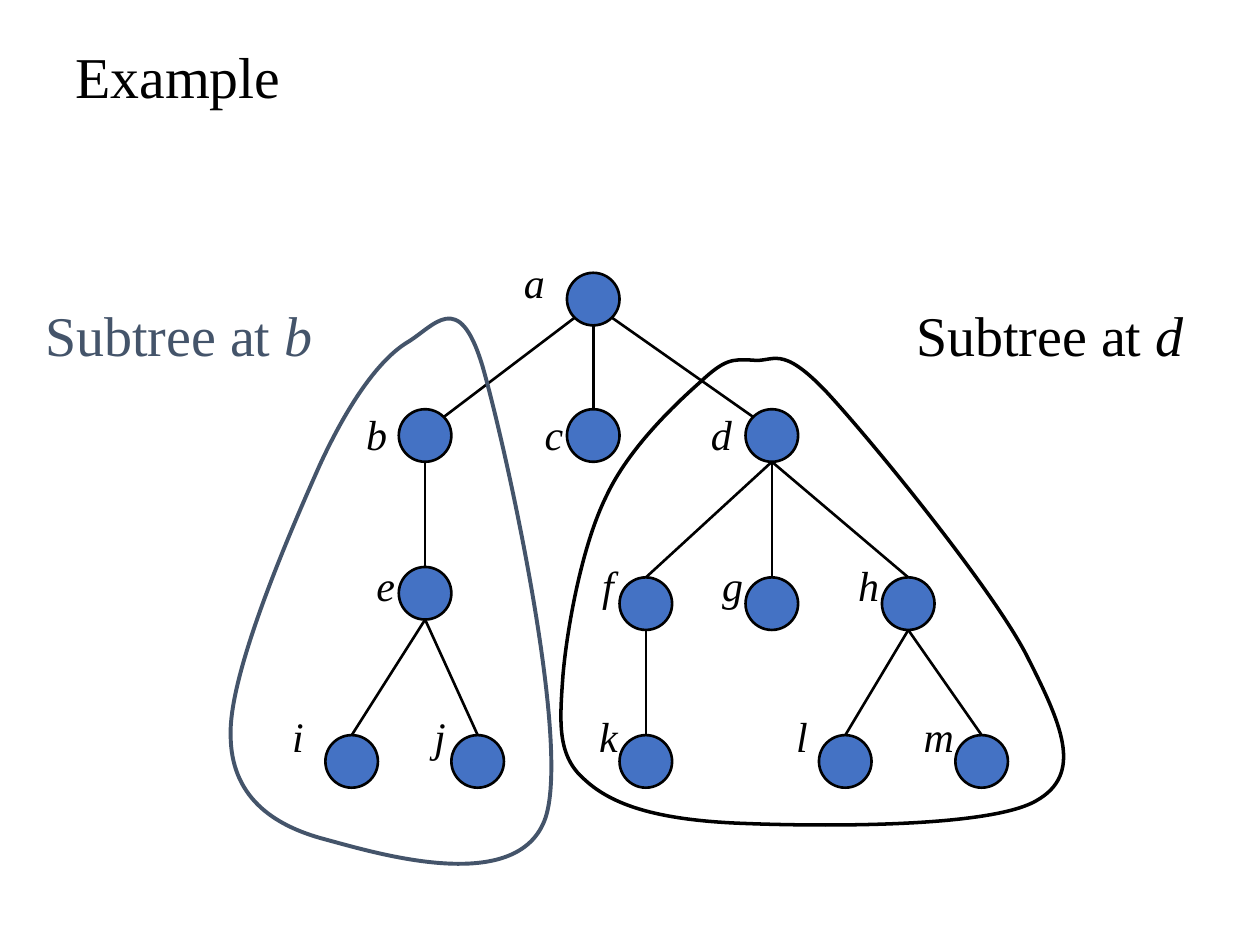
from lxml import etree
from pptx import Presentation
from pptx import util as u
from pptx.dml.color import RGBColor
from pptx.enum import shapes, text
from pptx.oxml import ns

COLORS = {"black": "000000", "node": "4472C4", "slate": "44546A"}
FONT = "Times New Roman"
DIAMETER = 1.06
DIAGONAL = 0.37
LABEL_TOP, LABEL_STEP = 5.18, 3.05

# name: centre x, centre y, label left, level
NODES = {
    "a": (11.96, 6.03, 10.56, 0),
    "b": (8.57, 8.78, 7.38, 1),
    "c": (11.96, 8.78, 10.98, 1),
    "d": (15.56, 8.78, 14.33, 1),
    "e": (8.57, 11.96, 7.59, 2),
    "f": (13.02, 12.17, 12.14, 2),
    "g": (15.56, 12.17, 14.56, 2),
    "h": (18.31, 12.17, 17.3, 2),
    "i": (7.09, 15.35, 5.89, 3),
    "j": (9.63, 15.35, 8.75, 3),
    "k": (13.02, 15.35, 12.08, 3),
    "l": (17.04, 15.35, 16.05, 3),
    "m": (19.79, 15.35, 18.62, 3),
}
CHILDREN = {"a": "bcd", "b": "e", "d": "fgh", "e": "ij", "f": "k", "h": "lm"}

OUTLINE_B = [
    (8.2, 6.91),
    (7.67, 7.24), (7.06, 8.05), (6.45, 9.37),
    (5.87, 10.67), (4.62, 13.54), (4.65, 14.81),
    (4.65, 16.05), (5.49, 16.64), (6.55, 16.92),
    (7.59, 17.2), (10.46, 18.08), (11, 16.48),
    (11.51, 14.91), (10.19, 8.99), (9.73, 7.39),
    (9.25, 5.79), (8.76, 6.58), (8.2, 6.91),
]
OUTLINE_D = [
    (14.12, 7.7),
    (14.61, 7.24), (14.76, 7.24), (15.16, 7.26),
    (15.6, 7.32), (15.72, 6.91), (16.66, 7.9),
    (17.58, 8.89), (19.96, 11.81), (20.68, 13.18),
    (21.39, 14.58), (21.87, 15.6), (20.88, 16.15),
    (19.89, 16.71), (16.26, 16.66), (14.76, 16.59),
    (13.23, 16.51), (12.34, 16.23), (11.79, 15.72),
    (11.23, 15.24), (11.28, 14.58), (11.35, 13.61),
    (11.43, 12.67), (11.73, 11), (12.22, 10.01),
    (12.67, 9.04), (13.61, 8.15), (14.12, 7.7),
]


def rgb(name):
    return RGBColor.from_string(COLORS[name])


def set_line(line, color, width):
    line.color.rgb = rgb(color)
    line.width = u.Pt(width)


def add_text(s, left, top, width, height, runs, size, color="black"):
    sp = s.shapes.add_textbox(u.Cm(left), u.Cm(top), u.Cm(width), u.Cm(height))
    tf = sp.text_frame
    tf.word_wrap = True
    tf.margin_left = tf.margin_right = tf.margin_top = tf.margin_bottom = 0
    p = tf.paragraphs[0]
    for content, italic in runs:
        r = p.add_run()
        r.text = content
        r.font.name = FONT
        r.font.size = u.Pt(size)
        r.font.italic = italic
        r.font.color.rgb = rgb(color)
    return tf


def add_title(s, title):
    tf = add_text(s, 1.52, 0.43, 22.36, 2.34, [(title, False)], 33)
    tf.vertical_anchor = text.MSO_ANCHOR.MIDDLE
    tf.paragraphs[0].line_spacing = 0.9


def add_node(s, name):
    x, y, label_left, level = NODES[name]
    sp = s.shapes.add_shape(
        shapes.MSO_SHAPE.OVAL, u.Cm(x - DIAMETER / 2), u.Cm(y - DIAMETER / 2),
        u.Cm(DIAMETER), u.Cm(DIAMETER))
    sp.shadow.inherit = False
    sp.fill.solid()
    sp.fill.fore_color.rgb = rgb("node")
    set_line(sp.line, "black", 1.5)
    add_text(s, label_left, LABEL_TOP + level * LABEL_STEP, 0.9, 1,
             [(name, True)], 24)


def add_edge(s, parent, child):
    x1, y1 = NODES[parent][:2]
    x2, y2 = NODES[child][:2]
    dx, dy = 0, DIAMETER / 2
    if parent == "a" and x1 != x2:
        dx, dy = (DIAGONAL if x2 > x1 else -DIAGONAL), DIAGONAL
    c = s.shapes.add_connector(
        shapes.MSO_CONNECTOR.STRAIGHT, u.Cm(x1 + dx), u.Cm(y1 + dy),
        u.Cm(x2 - dx), u.Cm(y2 - dy))
    set_line(c.line, "black", 1.5)
    etree.SubElement(c._element.spPr, ns.qn("a:effectLst"))


def add_outline(s, points, color, width):
    start, *rest = [(u.Cm(x), u.Cm(y)) for x, y in points]
    fb = s.shapes.build_freeform(*start)
    fb.add_line_segments(rest, close=True)
    sp = fb.convert_to_shape()
    segments = list(sp._element.iter(ns.qn("a:lnTo")))
    for i in range(0, len(rest), 3):
        curve = etree.Element(ns.qn("a:cubicBezTo"))
        segments[i].addprevious(curve)
        for segment in segments[i:i + 3]:
            curve.append(segment[0])
    for segment in segments:
        segment.getparent().remove(segment)
    sp.shadow.inherit = False
    sp.fill.background()
    set_line(sp.line, color, width)


def main():
    prs = Presentation()
    prs.slide_width, prs.slide_height = u.Cm(25.4), u.Cm(19.05)
    s = prs.slides.add_slide(prs.slide_layouts[6])
    add_title(s, "Example")
    for name in NODES:
        add_node(s, name)
    for parent, children in CHILDREN.items():
        for child in children:
            add_edge(s, parent, child)
    for root, left, color in (("d", 18.47, "black"), ("b", 0.91, "slate")):
        add_text(s, left, 6.05, 5.7, 1.35,
                 [("Subtree at ", False), (root, True)], 32, color)
    add_outline(s, OUTLINE_B, "slate", 2.25)
    add_outline(s, OUTLINE_D, "black", 2)
    prs.save("out.pptx")


if __name__ == "__main__":
    main()
